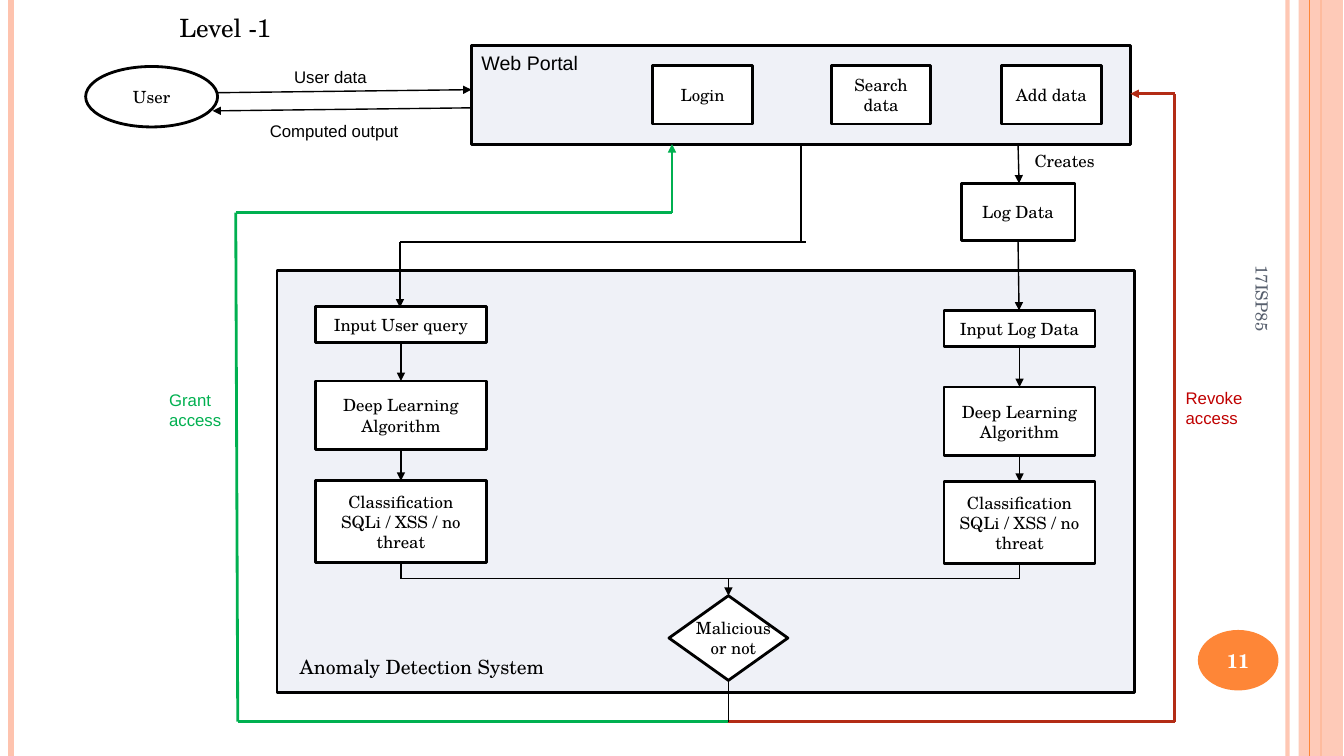
import pptx
import pptx.util
import pptx.dml.color
import pptx.enum.shapes
import pptx.enum.text
import pptx.oxml.ns
import lxml.etree

Inches = pptx.util.Inches
Pt = pptx.util.Pt
SHAPES = pptx.enum.shapes.MSO_SHAPE
ALIGN = pptx.enum.text.PP_ALIGN
ANCHOR = pptx.enum.text.MSO_ANCHOR
SERIF = "TeX Gyre Schola"
SANS = "Arial"
COLORS = {
    "black": "000000", "white": "FFFFFF", "panel": "EFF1F7",
    "peach": "FEC3AE", "orange": "FE8637", "slate": "575F6D",
    "grant": "00B050", "revoke": "B32C16", "revoke_text": "C00000",
}


def rgb(name):
    return pptx.dml.color.RGBColor.from_string(COLORS[name])


def add_child(parent, tag, **attributes):
    return lxml.etree.SubElement(parent, pptx.oxml.ns.qn(tag), **attributes)


def set_opacity(shape, percent):
    color = shape._element.spPr.find(".//" + pptx.oxml.ns.qn("a:srgbClr"))
    add_child(color, "a:alpha", val=str(percent * 1000))


def write(shape, lines, size=12, font=SERIF, color="black", align=ALIGN.CENTER,
          anchor=ANCHOR.MIDDLE, bold=False):
    frame = shape.text_frame
    frame.word_wrap = True
    frame.auto_size = pptx.enum.text.MSO_AUTO_SIZE.NONE
    frame.vertical_anchor = anchor
    frame.margin_left = frame.margin_right = Inches(0.1)
    frame.margin_top = frame.margin_bottom = Inches(0.05)
    for index, line in enumerate(lines):
        paragraph = frame.add_paragraph() if index else frame.paragraphs[0]
        paragraph.alignment = align
        run = paragraph.add_run()
        run.text = line
        run.font.size = Pt(size)
        run.font.name = font
        run.font.bold = bold
        run.font.color.rgb = rgb(color)


def add_label(slide, box, lines, align=ALIGN.LEFT, anchor=ANCHOR.TOP, **style):
    label = slide.shapes.add_textbox(*map(Inches, box))
    write(label, lines, align=align, anchor=anchor, **style)
    return label


def add_block(slide, box, lines=(), kind=SHAPES.RECTANGLE, fill="white", outline="black", **style):
    block = slide.shapes.add_shape(kind, *map(Inches, box))
    block.shadow.inherit = False
    block.fill.solid()
    block.fill.fore_color.rgb = rgb(fill)
    if outline:
        block.line.color.rgb = rgb(outline)
        block.line.width = Pt(2)
    else:
        block.line.fill.background()
    if lines:
        write(block, lines, **style)
    return block


def add_route(slide, points, color="black", width=1, arrow=True):
    for start, end in zip(points, points[1:]):
        segment = slide.shapes.add_connector(
            pptx.enum.shapes.MSO_CONNECTOR.STRAIGHT, *map(Inches, start + end))
        segment.line.color.rgb = rgb(color)
        segment.line.width = Pt(width)
        add_child(segment._element.spPr, "a:effectLst")
    if arrow:
        add_child(segment.line._get_or_add_ln(), "a:tailEnd", type="triangle")
    return segment


def draw_frame(slide, width, height):
    def stripe(x, color, weight):
        return add_route(slide, [(x, 0), (x, height)], color, weight, arrow=False)

    set_opacity(stripe(width - 0.56, "peach", 3), 93)
    stripe(0.11, "peach", 4.5)
    stripe(width - 0.23, "orange", 1.5)
    band = add_block(slide, (width - 0.45, 0, 0.44, height), fill="peach", outline=None)
    set_opacity(band, 87)
    stripe(width - 0.34, "orange", 0.75)
    add_block(slide, (width - 1.45, height - 1.25, 0.8, 0.6), ["11"], SHAPES.OVAL,
              "orange", None, size=14, color="white", bold=True)
    footer = add_label(slide, (width - 2.56, 4.02, 3.5, 0.53), ["17ISP85"],
                       color="slate", anchor=ANCHOR.MIDDLE)
    footer.rotation = 90


def draw_title(slide, box):
    title = slide.shapes.title
    title.left, title.top, title.width, title.height = map(Inches, box)
    write(title, ["Level -1"], size=18, align=ALIGN.LEFT, anchor=ANCHOR.TOP)


def draw_portal(slide, left, top, width, height):
    add_block(slide, (left, top, width, height), fill="panel")
    add_label(slide, (left, top + 0.01, 1.54, 0.34), ["Web Portal"], size=14, font=SANS)
    for offset, name in ((1.8, "Login"), (3.57, "Search data"), (5.26, "Add data")):
        add_block(slide, (left + offset, top + 0.2, 0.99, 0.58), [name])


def draw_user(slide, left, top, width, height, portal_left):
    add_block(slide, (left, top, width, height), ["User"], SHAPES.OVAL)
    right = left + width
    add_route(slide, [(right, top + 0.26), (portal_left, top + 0.23)])
    add_route(slide, [(portal_left, top + 0.41), (right - 0.05, top + 0.44)])
    add_label(slide, (right + 0.66, top - 0.05, 1.69, 0.3), ["User data"], font=SANS)
    add_label(slide, (right + 0.42, top + 0.49, 2.24, 0.3), ["Computed output"], font=SANS)


def draw_log(slide, left, top, width, height, portal_bottom, input_top):
    center = left + width / 2
    add_route(slide, [(center, portal_bottom), (center + 0.01, top)])
    add_block(slide, (left, top, width, height), ["Log Data"])
    add_route(slide, [(center, top + height), (center + 0.01, input_top)])
    add_label(slide, (left + 0.63, top - 0.37, 1.11, 0.3), ["Creates"])


def draw_pipeline(slide, left, width, tops, input_label):
    center = left + width / 2
    stages = zip(tops, (0.36, 0.68, 0.81), (
        [input_label], ["Deep Learning Algorithm"],
        ["Classification", "SQLi / XSS / no threat"]))
    previous_bottom = None
    for top, height, lines in stages:
        add_block(slide, (left, top, width, height), lines)
        if previous_bottom:
            add_route(slide, [(center, previous_bottom), (center, top)])
        previous_bottom = top + height
    return center, previous_bottom


def draw_detection(slide, left, top, width, height):
    add_block(slide, (left, top, width, height), fill="panel")
    ends = [
        draw_pipeline(slide, left + 0.38, 1.7, [top + y for y in (0.36, 1.1, 2.09)],
                      "Input User query"),
        draw_pipeline(slide, left + 6.62, 1.5, [top + y for y in (0.4, 1.16, 2.1)],
                      "Input Log Data"),
    ]
    merge, decision = top + 3.06, left + 4.48
    for center, bottom in ends:
        add_route(slide, [(center, bottom), (center, merge), (decision, merge)], arrow=False)
    add_route(slide, [(decision, merge), (decision, top + 3.23)])
    add_block(slide, (decision - 0.59, top + 3.23, 1.18, 0.84), kind=SHAPES.DIAMOND)
    add_label(slide, (decision - 0.6, top + 3.4, 1.3, 0.5), ["Malicious", "or not"],
              align=ALIGN.CENTER)
    add_label(slide, (left - 0.59, top + 3.77, 4.06, 0.57), ["Anomaly Detection System"],
              size=14, align=ALIGN.CENTER)
    return decision, top + 4.07


def draw_access(slide, decision, decision_bottom, base, left, right, portal_right, portal_bottom):
    add_route(slide, [(decision, base), (right, base), (right, 0.93), (portal_right, 0.93)],
              "revoke", 2)
    add_route(slide, [(decision, base), (left + 0.02, base), (left, 2.11), (6.67, 2.11),
                      (6.67, portal_bottom)], "grant", 2)
    add_route(slide, [(decision, decision_bottom), (decision, base)], arrow=False)
    add_label(slide, (left - 0.76, 3.82, 0.95, 0.5), ["Grant", "access"],
              font=SANS, color="grant")
    add_label(slide, (right + 0.01, 3.8, 1.34, 0.5), ["Revoke", "access"],
              font=SANS, color="revoke_text")


def main():
    presentation = pptx.Presentation()
    presentation.slide_width = Inches(13.34)
    presentation.slide_height = Inches(7.5)
    slide = presentation.slides.add_slide(presentation.slide_layouts[5])
    draw_frame(slide, 13.34, 7.5)
    draw_title(slide, (1.68, 0.07, 3, 0.4))
    decision, decision_bottom = draw_detection(slide, 2.75, 2.68, 8.51, 4.19)
    draw_portal(slide, 4.68, 0.45, 6.54, 0.98)
    draw_user(slide, 0.85, 0.66, 1.31, 0.6, 4.68)
    draw_log(slide, 9.54, 1.82, 1.13, 0.57, 1.43, 3.08)
    add_route(slide, [(7.95, 1.43), (7.95, 2.4)], arrow=False)
    add_route(slide, [(8, 2.4), (3.97, 2.4), (3.97, 3.05)])
    draw_access(slide, decision, decision_bottom, 7.16, 2.34, 11.66, 11.22, 1.43)
    presentation.save("out.pptx")


if __name__ == "__main__":
    main()
